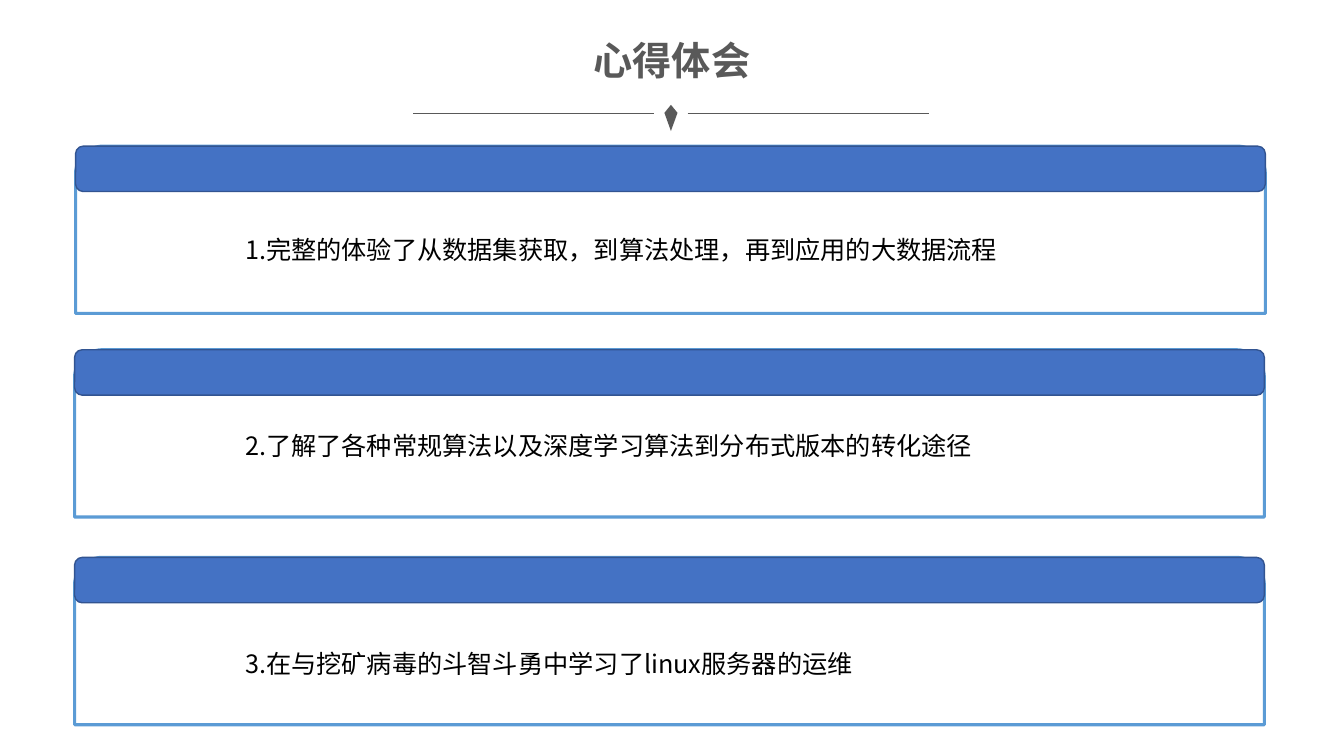
from lxml import etree
from pptx import Presentation
from pptx import util as u
from pptx.dml.color import RGBColor
from pptx.enum import shapes, text
from pptx.oxml import ns

FONT = "Noto Sans CJK SC"
GRAY, BLUE, SKY, NAVY, BLACK = "595959", "4472C4", "5B9BD5", "325491", "000000"
WIDTH, HEIGHT = 13.33, 7.5

LESSONS = [  # panel left, panel top, text offset below the panel top, wording
    (0.75, 1.45, 0.83, "1.完整的体验了从数据集获取，到算法处理，再到应用的大数据流程"),
    (0.74, 3.47, 0.75, "2.了解了各种常规算法以及深度学习算法到分布式版本的转化途径"),
    (0.74, 5.53, 0.85, "3.在与挖矿病毒的斗智斗勇中学习了linux服务器的运维"),
]


def color(hex_string):
    return RGBColor.from_string(hex_string)


def inches(*lengths):
    return [u.Inches(length) for length in lengths]


def write(holder, wording, size=18, ink=BLACK, bold=False, wrap=True,
          align=text.PP_ALIGN.LEFT, anchor=text.MSO_ANCHOR.TOP):
    frame = holder.text_frame
    frame.word_wrap = wrap
    frame.auto_size = text.MSO_AUTO_SIZE.NONE
    frame.vertical_anchor = anchor
    frame.margin_left = frame.margin_right = u.Inches(0.1)
    frame.margin_top = frame.margin_bottom = u.Inches(0.05)
    paragraph = frame.paragraphs[0]
    paragraph.alignment = align
    paragraph.line_spacing = 1.0
    run = paragraph.add_run()
    run.text = wording
    run.font.size, run.font.bold, run.font.name = u.Pt(size), bold, FONT
    run.font.color.rgb = color(ink)
    # East Asian typeface
    etree.SubElement(run.font._element, ns.qn("a:ea"), typeface=FONT)


def paint(shape, fill=None, line=None, weight=1):
    shape.shadow.inherit = False
    if fill:
        shape.fill.solid()
        shape.fill.fore_color.rgb = color(fill)
    else:
        shape.fill.background()
    if line:
        shape.line.color.rgb = color(line)
        shape.line.width = u.Pt(weight)
    else:
        shape.line.fill.background()


def add_heading(slide, wording, left, top, width, height):
    title = slide.shapes.title
    title.left, title.top, title.width, title.height = inches(left, top, width, height)
    write(title, wording, size=28, ink=GRAY, bold=True, wrap=False,
          align=text.PP_ALIGN.CENTER)


def add_divider(slide, left, top, width, height):
    center, shoulder = left + width / 2, top + 0.08
    # Diamond with a long lower tip
    outline = [(center, top), (center + 0.065, shoulder),
               (center, top + height), (center - 0.065, shoulder)]
    points = [inches(*point) for point in outline]
    builder = slide.shapes.build_freeform(*points[0])
    builder.add_line_segments(points[1:], close=True)
    paint(builder.convert_to_shape(), fill=GRAY)
    # Rule on either side
    rule_width = width / 2 - 0.165
    for start in (left, left + width - rule_width):
        rule = slide.shapes.add_connector(
            shapes.MSO_CONNECTOR.STRAIGHT,
            *inches(start, shoulder, start + rule_width, shoulder))
        rule.line.color.rgb = color(GRAY)
        rule.line.width = u.Pt(0.5)
        etree.SubElement(rule._element.spPr, ns.qn("a:effectLst"))


def add_lesson(slide, wording, text_offset, left, top, width, height):
    # Outlined panel under a solid header bar
    panel = slide.shapes.add_shape(shapes.MSO_SHAPE.ROUND_2_SAME_RECTANGLE,
                                   *inches(left, top, width, height))
    paint(panel, line=SKY, weight=2.25)
    header = slide.shapes.add_shape(shapes.MSO_SHAPE.ROUNDED_RECTANGLE,
                                    *inches(left, top, width, 0.45))
    paint(header, fill=BLUE, line=NAVY)
    # Lesson wording, on one shared left edge
    lesson = slide.shapes.add_textbox(
        *inches(WIDTH * 0.175, top + text_offset, 7.82, 0.4))
    write(lesson, wording)


def main():
    deck = Presentation()
    deck.slide_width, deck.slide_height = inches(WIDTH, HEIGHT)
    slide = deck.slides.add_slide(deck.slide_layouts[5])
    add_heading(slide, "心得体会", 5.78, 0.31, 1.77, 0.57)
    add_divider(slide, 4.1, 1.04, 5.11, 0.26)
    for left, top, text_offset, wording in LESSONS:
        add_lesson(slide, wording, text_offset, left, top, 11.8, 1.66)
    deck.save("out.pptx")


if __name__ == "__main__":
    main()
